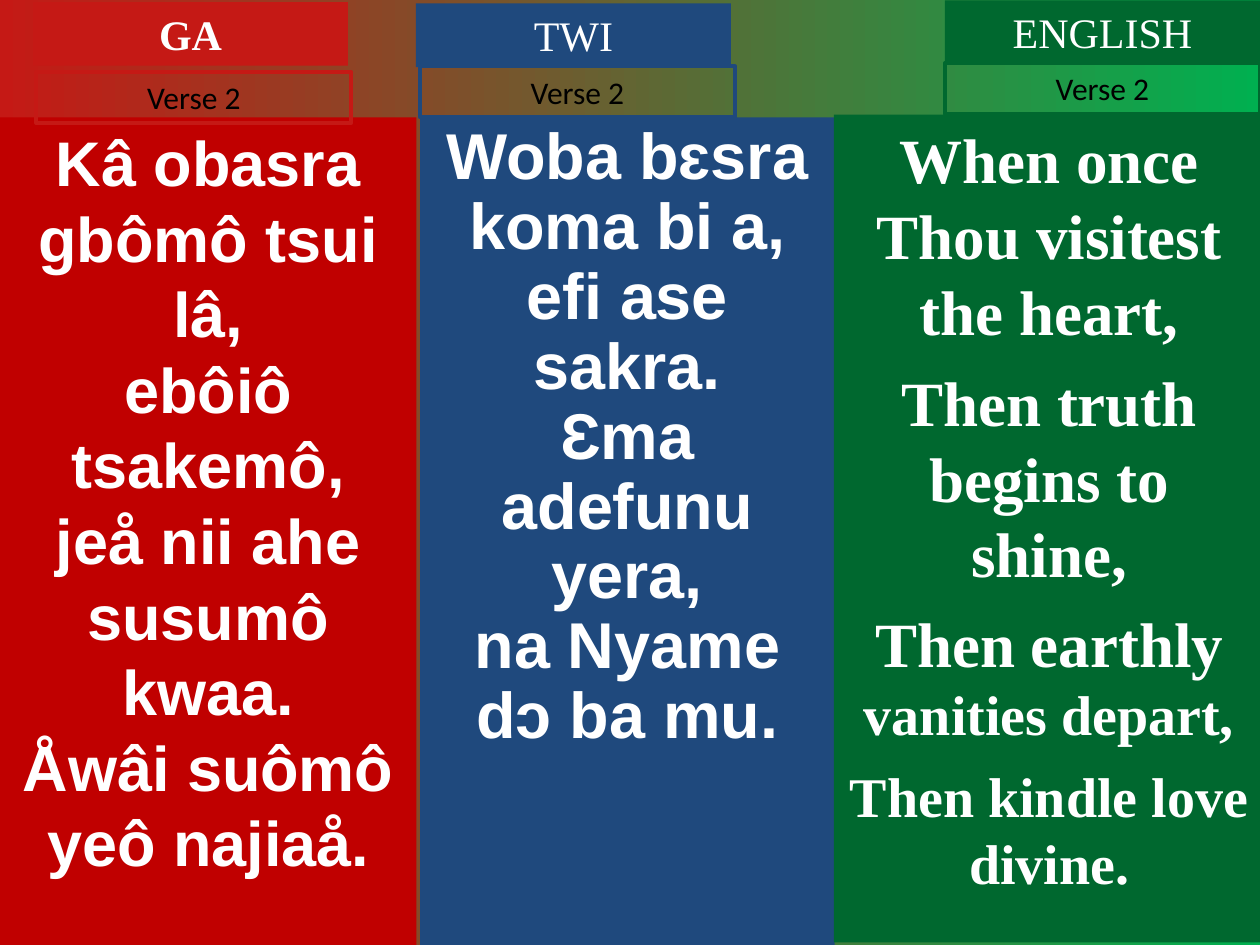
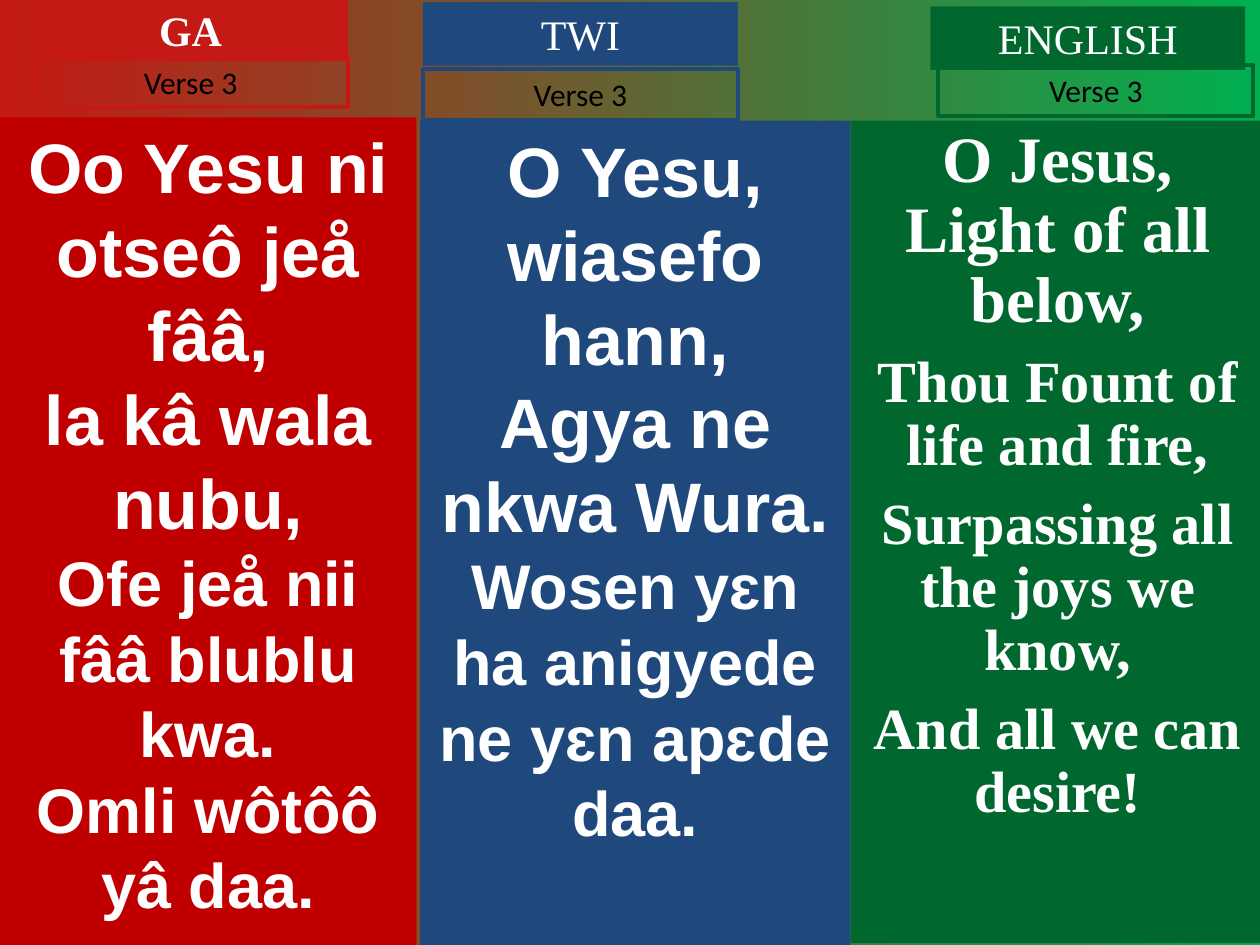
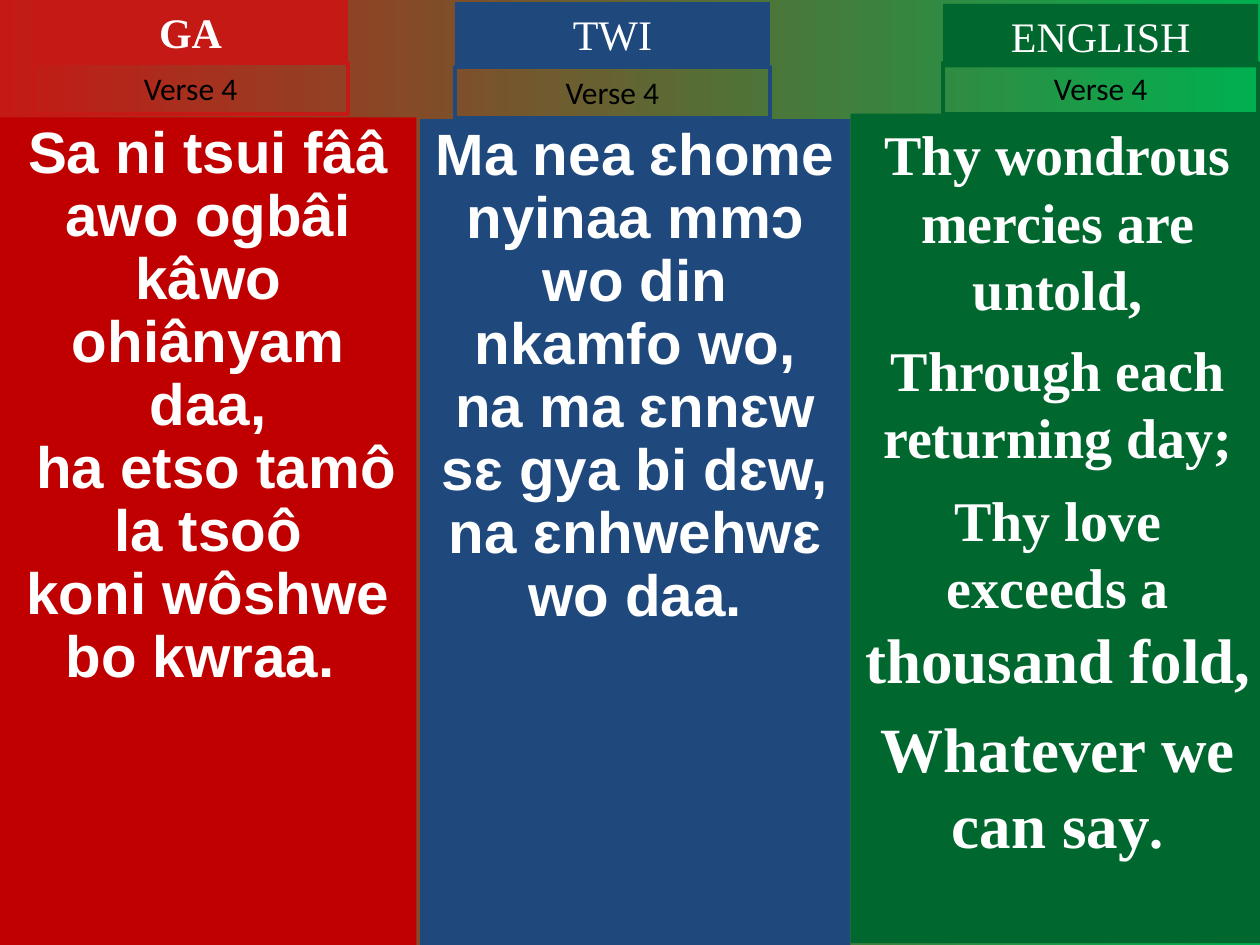
from lxml import etree
from pptx import Presentation
from pptx.dml.color import RGBColor
from pptx.enum.text import MSO_ANCHOR, MSO_AUTO_SIZE, PP_ALIGN
from pptx.oxml.ns import qn
from pptx.util import Pt

CENTER = PP_ALIGN.CENTER
TOP = MSO_ANCHOR.TOP
FIXED, GROW = MSO_AUTO_SIZE.NONE, MSO_AUTO_SIZE.SHAPE_TO_FIT_TEXT

WHITE = RGBColor(0xFF, 0xFF, 0xFF)
BLACK = RGBColor(0x00, 0x00, 0x00)
RED = RGBColor(0xC0, 0x00, 0x00)
BRIGHT_RED = RGBColor(0xC5, 0x19, 0x15)
BLUE = RGBColor(0x1F, 0x49, 0x7D)
GREEN = RGBColor(0x00, 0x68, 0x2F)
BRIGHT_GREEN = RGBColor(0x00, 0xB0, 0x50)

LABEL_WIDTH, LABEL_HEIGHT, FRAME_HEIGHT = 180, 36.35, 29.1

# Language: panel colour, label colour, panel font, bold label, gap between lines per point of size
LANGUAGES = {
    "GA": (RED, BRIGHT_RED, "Arial", True, 0),
    "TWI": (BLUE, BLUE, "Arial", False, 0),
    "ENGLISH": (GREEN, GREEN, "Times New Roman", False, 0.26),
}

# Each column: panel box, label corner, verse frame corner, line spacing,
# then lines made of (size, text) spans
VERSES = {
    "Verse 2": {
        "GA": ((0, 67, 238, 473), (18.9, 1.2), (20.8, 41.2), 1, [
            [(36, "Kâ obasra gbômô tsui lâ,")],
            [(36, "ebôiô tsakemô,")],
            [(36, "jeå nii ahe susumô kwaa.")],
            [(36, "Åwâi suômô yeô najiaå.")]]),
        "TWI": ((240, 67, 237, 473), (237.7, 2), (240, 37.9), 0.9, [
            [(37, "Woba bɛsra koma bi a,")],
            [(37, "efi ase sakra.")],
            [(37, "Ɛma adefunu yera,")],
            [(37, "na Nyame dɔ ba mu.")]]),
        "ENGLISH": ((476.6, 65.6, 246, 473), (540, 0.3), (540, 36), 1, [
            [(36, "When once Thou visitest the heart,")],
            [(36, "Then truth begins to shine,")],
            [(36, "Then earthly "), (32, "vanities depart,")],
            [(32, "Then kindle love divine.")]]),
    },
    "Verse 3": {
        "GA": ((0, 67, 238, 473), (18.9, -1.2), (18.9, 32.2), 1, [
            [(40, "Oo Yesu ni otseô jeå fââ,")],
            [(40, "la kâ wala nubu,")],
            [(36, "Ofe jeå nii fââ blublu kwa.")],
            [(36, "Omli wôtôô yâ daa.")]]),
        "TWI": ((240, 69, 246, 471), (241.7, 1.2), (241.7, 39.4), 1, [
            [(40, "O Yesu, wiasefo hann,")],
            [(40, "Agya ne nkwa Wura.")],
            [(36, "Wosen yɛn ha anigyede ne yɛn apɛde daa.")]]),
        "ENGLISH": ((486, 69, 237, 470), (531.6, 3.6), (536.2, 37), 0.9, [
            [(37, "O Jesus, Light of all below,")],
            [(33.3, "Thou Fount of life and fire,")],
            [(33.3, "Surpassing all the joys we know,")],
            [(33.3, "And all we can desire!")]]),
    },
    "Verse 4": {
        "GA": ((0, 67, 238, 473), (18.9, 0), (18.9, 36), 0.9, [
            [(33.3, "Sa ni tsui fââ awo ogbâi")],
            [(33.3, "kâwo ohiânyam daa,")],
            [(33.3, " ha etso tamô la tsoô")],
            [(33.3, "koni wôshwe bo kwraa. ")]]),
        "TWI": ((240, 68, 246, 472), (260, 1.2), (260, 38.2), 0.9, [
            [(33.3, "Ma nea ɛhome nyinaa mmɔ wo din nkamfo wo,")],
            [(33.3, "na ma ɛnnɛw sɛ gya bi dɛw,")],
            [(33.3, "na ɛnhwehwɛ wo daa.")]]),
        "ENGLISH": ((486, 65, 237, 474), (539, 2.2), (539, 36), 1, [
            [(32, "Thy wondrous mercies are untold,")],
            [(32, "Through each returning day;")],
            [(32, "Thy love exceeds a "), (36, "thousand fold,")],
            [(36, "Whatever we can say"), (32, ".")]]),
    },
}


def place(box, left, top, width, height, auto_size):
    box.left, box.top, box.width, box.height = Pt(left), Pt(top), Pt(width), Pt(height)
    frame = box.text_frame
    frame.word_wrap = True
    frame.auto_size = auto_size
    frame.vertical_anchor = TOP
    return frame


def write_line(para, spans, font_name, color, bold):
    properties = para._p.get_or_add_pPr()
    properties.set("marL", "0")
    properties.set("indent", "0")
    etree.SubElement(properties, qn("a:buNone"))
    para.alignment = CENTER
    para.space_before = Pt(0)
    para.font.name = font_name
    para.font.color.rgb = color
    para.font.bold = bold
    for size, text in spans:
        span = para.add_run()
        span.text = text
        span.font.size = Pt(size)


deck = Presentation()
deck.slide_width, deck.slide_height = Pt(720), Pt(540)

# Shared background, red to green from left to right
backdrop = deck.slide_master.background.fill
backdrop.gradient()
backdrop.gradient_angle = 0
for stop, color in zip(backdrop.gradient_stops, (BRIGHT_RED, BRIGHT_GREEN)):
    stop.color.rgb = color

two_content = deck.slide_layouts.get_by_name("Two Content")

for verse, columns in VERSES.items():
    page = deck.slides.add_slide(two_content)
    for unused in list(page.placeholders):
        if unused.placeholder_format.idx not in (1, 2):
            unused._element.getparent().remove(unused._element)
    panels = list(page.placeholders) + [page.shapes.add_textbox(0, 0, 0, 0)]

    for panel, (language, column) in zip(panels, columns.items()):
        panel_color, label_color, font_name, bold_label, gap = LANGUAGES[language]
        area, label_corner, frame_corner, line_spacing, lines = column

        # Panel with the words of the verse
        panel.fill.solid()
        panel.fill.fore_color.rgb = panel_color
        text = place(panel, *area, FIXED)
        for number, spans in enumerate(lines):
            para = text.add_paragraph() if number else text.paragraphs[0]
            write_line(para, spans, font_name, WHITE, True)
            para.line_spacing = line_spacing
            if number:
                para.space_before = Pt(round(spans[-1][0] * gap))

        # Language label
        label = page.shapes.add_textbox(0, 0, 0, 0)
        label.fill.solid()
        label.fill.fore_color.rgb = label_color
        text = place(label, *label_corner, LABEL_WIDTH, LABEL_HEIGHT, GROW)
        write_line(text.paragraphs[0], [(24, language)], "Times New Roman", WHITE, bold_label)

        # Outlined verse number
        outline = page.shapes.add_textbox(0, 0, 0, 0)
        outline.line.color.rgb = label_color
        outline.line.width = Pt(2.25)
        text = place(outline, *frame_corner, LABEL_WIDTH, FRAME_HEIGHT, GROW)
        write_line(text.paragraphs[0], [(18, verse)], "Calibri", BLACK, False)

deck.save("out.pptx")
